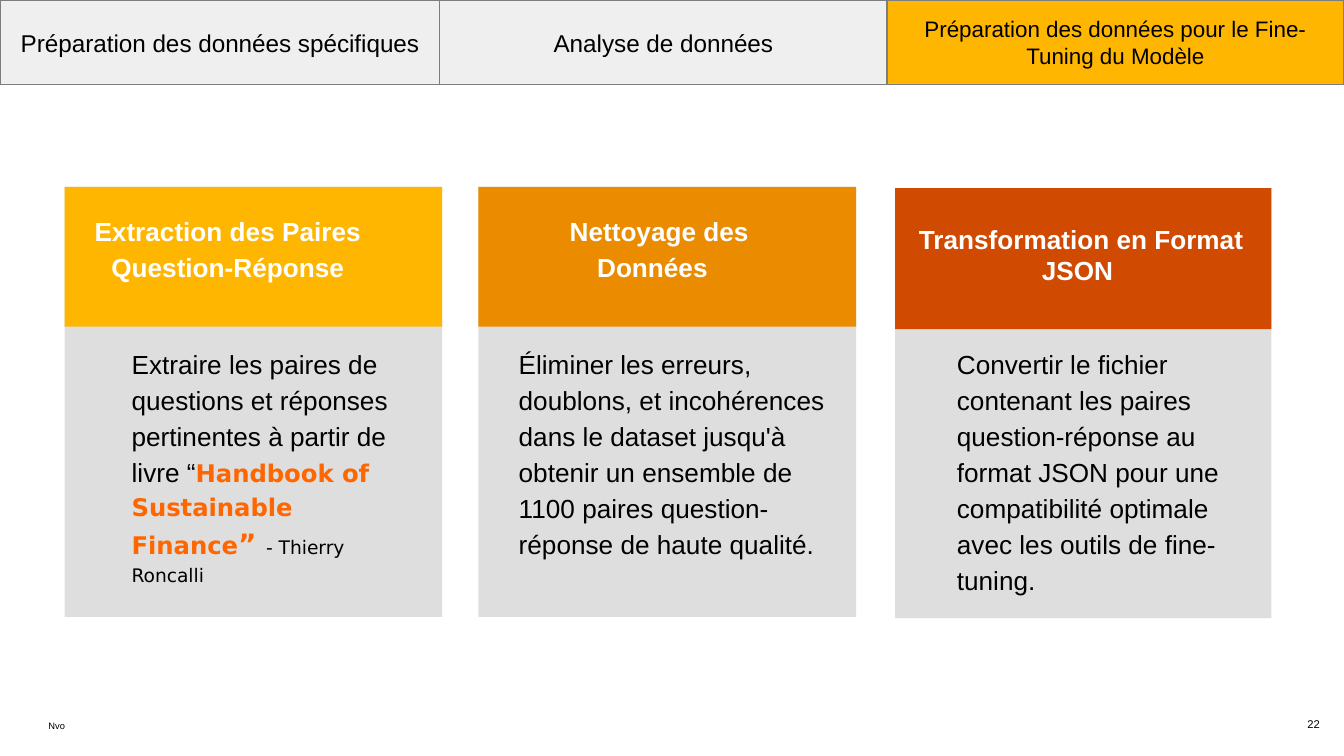
"""Builds the slide on preparing question-answer data for fine-tuning."""
from dataclasses import dataclass

from pptx import Presentation
from pptx.dml.color import RGBColor
from pptx.enum.shapes import MSO_SHAPE
from pptx.enum.text import MSO_ANCHOR, MSO_AUTO_SIZE, PP_ALIGN
from pptx.shapes.autoshape import Shape
from pptx.slide import Slide
from pptx.util import Inches, Pt


@dataclass(frozen=True)
class Theme:
    font: str = "Arial"
    book_font: str = "DejaVu Sans"
    black: str = "000000"
    white: str = "FFFFFF"
    tab: str = "EFEFEF"
    border: str = "7D7D7D"
    panel: str = "DEDEDE"
    yellow: str = "FFB600"
    amber: str = "EB8C00"
    red: str = "D04A02"
    book: str = "FF6600"
    tab_size: int = 13
    title_size: int = 12
    card_size: int = 14
    book_size: int = 13
    quote_size: int = 15
    author_size: int = 10
    footer_size: int = 5
    number_size: int = 6


THEME = Theme()


@dataclass(frozen=True)
class Area:
    left: float
    top: float
    width: float
    height: float


@dataclass(frozen=True)
class Span:
    text: str
    size: int = THEME.card_size
    color: str = THEME.black
    bold: bool = False
    font: str = THEME.font


@dataclass(frozen=True)
class Style:
    align: PP_ALIGN = PP_ALIGN.LEFT
    anchor: MSO_ANCHOR = MSO_ANCHOR.TOP
    spacing: float = 1.0
    indent: float = 0.0
    first_line: float = 0.0
    inset: float = 0.0


@dataclass(frozen=True)
class Card:
    panel: Area
    header_height: float
    color: str
    heading: str
    heading_area: Area
    heading_style: Style
    body: tuple[Span, ...]
    body_area: Area


TAB_STYLE = Style(PP_ALIGN.CENTER, MSO_ANCHOR.MIDDLE, inset=0.1)
BODY_STYLE = Style(spacing=1.15, indent=0.5)

CARDS = (
    Card(
        Area(0.48, 1.39, 2.81, 3.2), 1.04, THEME.yellow,
        "Extraction des Paires Question-Réponse",
        Area(0.44, 1.57, 2.51, 0.48), Style(PP_ALIGN.CENTER, spacing=1.15),
        (
            Span("Extraire les paires de questions et réponses pertinentes à partir de livre “"),
            Span("Handbook of Sustainable Finance", THEME.book_size, THEME.book, True, THEME.book_font),
            Span("” ", THEME.quote_size, THEME.book, True, THEME.book_font),
            Span("- Thierry Roncalli", THEME.author_size, font=THEME.book_font),
        ),
        Area(0.48, 2.56, 2.46, 1.88),
    ),
    Card(
        Area(3.56, 1.39, 2.81, 3.2), 1.04, THEME.amber,
        "Nettoyage des Données",
        Area(3.29, 1.57, 2.63, 0.75),
        Style(PP_ALIGN.CENTER, spacing=1.15, indent=0.5, first_line=0.1),
        (Span("Éliminer les erreurs, doublons, et incohérences dans le dataset jusqu'à "
              "obtenir un ensemble de 1100 paires question-réponse de haute qualité."),),
        Area(3.36, 2.56, 2.9, 1.88),
    ),
    Card(
        Area(6.66, 1.4, 2.8, 3.2), 1.05, THEME.red,
        "Transformation en Format JSON ",
        Area(6.73, 1.64, 2.63, 0.51), Style(PP_ALIGN.CENTER, MSO_ANCHOR.MIDDLE),
        (Span("Convertir le fichier contenant les paires question-réponse au format JSON "
              "pour une compatibilité optimale avec les outils de fine-tuning."),),
        Area(6.62, 2.56, 2.63, 2.07),
    ),
)


def lengths(area: Area) -> tuple[int, int, int, int]:
    """Give an area as slide lengths."""
    return Inches(area.left), Inches(area.top), Inches(area.width), Inches(area.height)


def write(box: Shape, spans: tuple[Span, ...], style: Style) -> None:
    """Fill a shape with one paragraph, run by run."""
    frame = box.text_frame
    frame.word_wrap = True
    frame.auto_size = MSO_AUTO_SIZE.NONE
    frame.vertical_anchor = style.anchor
    frame.margin_left = frame.margin_right = Inches(style.inset)
    frame.margin_top = frame.margin_bottom = Inches(style.inset)
    para = frame.paragraphs[0]
    para.alignment = style.align
    para.line_spacing = style.spacing
    if style.indent:
        properties = para._p.get_or_add_pPr()
        properties.set("marL", str(Inches(style.indent)))
        properties.set("indent", str(Inches(style.first_line)))
    for span in spans:
        run = para.add_run()
        run.text = span.text
        run.font.name = span.font
        run.font.size = Pt(span.size)
        run.font.bold = span.bold
        run.font.color.rgb = RGBColor.from_string(span.color)


def paint(shape: Shape, color: str, bordered: bool = False) -> None:
    """Set the fill and the outline of a shape."""
    shape.fill.solid()
    shape.fill.fore_color.rgb = RGBColor.from_string(color)
    if bordered:
        shape.line.color.rgb = RGBColor.from_string(THEME.border)
        shape.line.width = Pt(0.75)
    else:
        shape.line.fill.background()


def add_rectangle(page: Slide, area: Area, color: str, bordered: bool = False) -> Shape:
    """Add a flat rectangle."""
    shape = page.shapes.add_shape(MSO_SHAPE.RECTANGLE, *lengths(area))
    shape.shadow.inherit = False
    paint(shape, color, bordered)
    return shape


def add_text(page: Slide, area: Area, spans: tuple[Span, ...], style: Style) -> None:
    """Add a text box."""
    write(page.shapes.add_textbox(*lengths(area)), spans, style)


def add_card(page: Slide, card: Card) -> None:
    """Add a panel with its coloured header, heading and body."""
    panel = card.panel
    add_rectangle(page, panel, THEME.panel)
    add_rectangle(page, Area(panel.left, panel.top, panel.width, card.header_height), card.color)
    add_text(page, card.body_area, card.body, BODY_STYLE)
    heading = Span(card.heading, color=THEME.white, bold=True)
    add_text(page, card.heading_area, (heading,), card.heading_style)


def add_tabs(page: Slide) -> None:
    """Add the tab strip, whose active tab is the slide title."""
    tabs = (
        (Area(0, 0, 3.27, 0.63), "Préparation des données spécifiques"),
        (Area(3.27, 0, 3.33, 0.63), "Analyse de données"),
    )
    for area, label in tabs:
        tab = add_rectangle(page, area, THEME.tab, bordered=True)
        write(tab, (Span(label, THEME.tab_size),), TAB_STYLE)
    title = page.shapes.title
    title.left, title.top, title.width, title.height = lengths(Area(6.6, 0, 3.4, 0.63))
    paint(title, THEME.yellow, bordered=True)
    label = "Préparation des données pour le Fine-Tuning du Modèle"
    write(title, (Span(label, THEME.title_size),), TAB_STYLE)


def main() -> None:
    """Build and save the deck."""
    deck = Presentation()
    deck.slide_width = Inches(10)
    deck.slide_height = deck.slide_width * 9 // 16
    page = deck.slides.add_slide(deck.slide_layouts[5])
    for card in CARDS:
        add_card(page, card)
    add_text(page, Area(0.36, 5.33, 4.49, 0.11), (Span("Nvo", THEME.footer_size),),
             Style(anchor=MSO_ANCHOR.BOTTOM))
    add_text(page, Area(7.75, 5.39, 2.07, 0.05), (Span("22", THEME.number_size),),
             Style(PP_ALIGN.RIGHT, MSO_ANCHOR.BOTTOM))
    add_tabs(page)
    deck.save("out.pptx")


if __name__ == "__main__":
    main()
